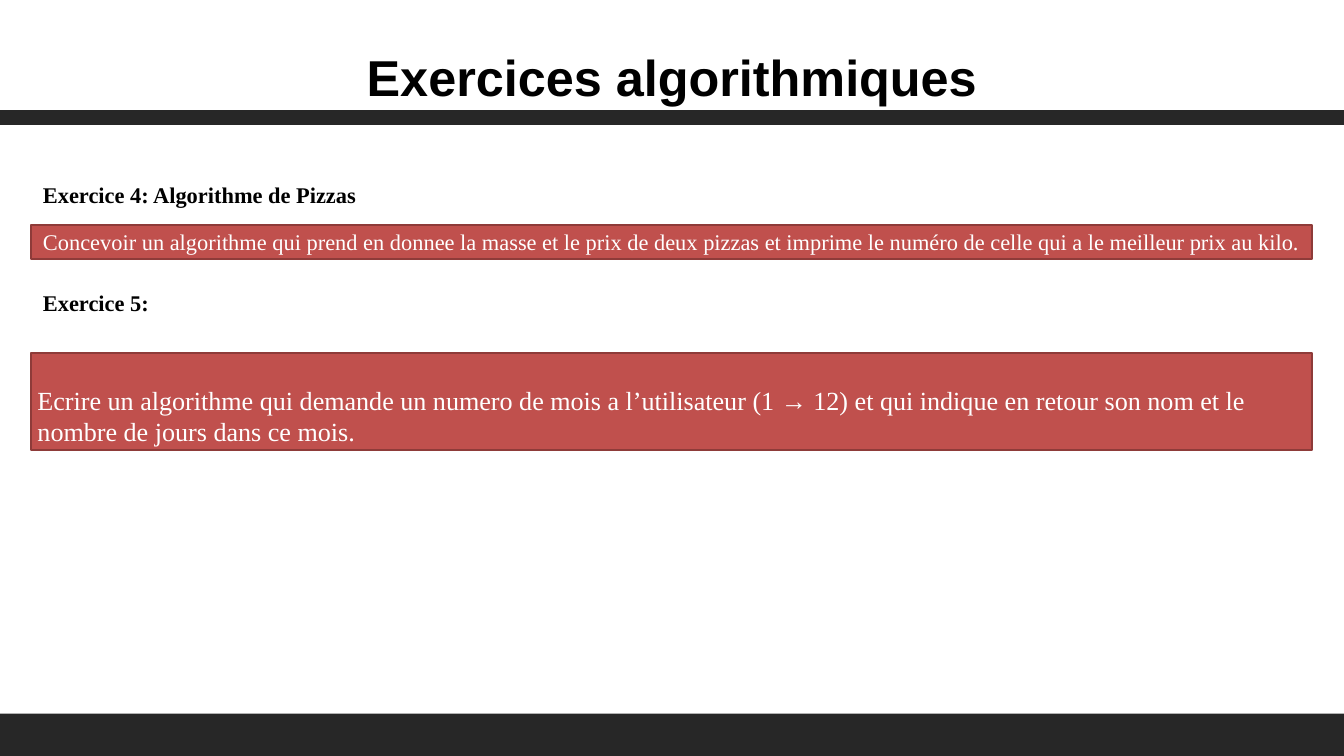
from pptx import Presentation
from pptx.dml.color import RGBColor
from pptx.enum.shapes import MSO_SHAPE
from pptx.enum.text import MSO_ANCHOR, PP_ALIGN
from pptx.util import Inches, Pt

COLORS = {"bar": "272727", "panel": "C0504D", "border": "8E3B39",
          "dark": "000000", "light": "FFFFFF"}
SERIF = "Times New Roman"
HEADING = {"name": SERIF, "size": Pt(24), "bold": True}
TITLE = {"name": "Arial", "size": Pt(54), "bold": True}
MARGIN, PANEL_WIDTH = 0.46, 19.07

EXERCISES = [
    {"heading": "Exercice 4: Algorithme de Pizzas", "top": 2.64,
     "offset": 0.71, "height": 0.5, "size": 24, "inset": 0.18,
     "statement": "Concevoir un algorithme qui prend en donnee la masse et le prix "
                  "de deux pizzas et imprime le numéro de celle qui a le meilleur "
                  "prix au kilo."},
    {"heading": "Exercice 5:", "top": 4.25,
     "offset": 1, "height": 1.45, "size": 28, "inset": 0.1,
     "statement": "Ecrire un algorithme qui demande un numero de mois a "
                  "l’utilisateur (1 → 12) et qui indique en retour son nom et le "
                  "nombre de jours dans ce mois."},
]


def apply_format(target, values):
    """Set each attribute named in values on target."""
    for attribute, value in values.items():
        setattr(target, attribute, value)


def write_text(shape, text, font, color, frame=None, paragraph=None):
    """Fill a shape with one formatted paragraph."""
    apply_format(shape.text_frame, {"word_wrap": True, **(frame or {})})
    line = shape.text_frame.paragraphs[0]
    apply_format(line, {"alignment": PP_ALIGN.LEFT, **(paragraph or {})})
    run = line.add_run()
    run.text = text
    apply_format(run.font, font)
    run.font.color.rgb = RGBColor.from_string(COLORS[color])


def add_rectangle(slide, box, fill, border=None):
    """Add a flat rectangle, outlined if a border colour is given."""
    rectangle = slide.shapes.add_shape(MSO_SHAPE.RECTANGLE, *map(Inches, box))
    rectangle.shadow.inherit = False
    rectangle.fill.solid()
    rectangle.fill.fore_color.rgb = RGBColor.from_string(COLORS[fill])
    if border:
        rectangle.line.color.rgb = RGBColor.from_string(COLORS[border])
        rectangle.line.width = Pt(2)
    else:
        rectangle.line.fill.background()
    return rectangle


def add_header(slide, left, top, width):
    """Add the centred title with the rule beneath it."""
    add_rectangle(slide, (left, top + 0.86, width, 0.22), "bar")
    title = slide.shapes.add_textbox(
        *map(Inches, (left + 1, top, width - 2, 0.82)))
    margins = {f"margin_{side}": 0 for side in ("left", "top", "right", "bottom")}
    write_text(title, "Exercices algorithmiques", TITLE, "dark",
               {"vertical_anchor": MSO_ANCHOR.MIDDLE, **margins},
               {"alignment": PP_ALIGN.CENTER, "line_spacing": 0.9})


def add_footer(slide, left, top, width):
    """Add the dark band at the foot of the slide."""
    add_rectangle(slide, (left, top, width, 0.65), "bar")


def add_exercise(slide, left, top, width, exercise):
    """Add an exercise heading and its statement panel."""
    heading = slide.shapes.add_textbox(
        *map(Inches, (left + 0.08, top, 10.01, 0.5)))
    write_text(heading, exercise["heading"], HEADING, "dark")
    panel = add_rectangle(
        slide, (left, top + exercise["offset"], width, exercise["height"]),
        "panel", "border")
    write_text(panel, exercise["statement"],
               {"name": SERIF, "size": Pt(exercise["size"])}, "light",
               {"vertical_anchor": MSO_ANCHOR.BOTTOM,
                "margin_left": Inches(exercise["inset"])})


def main():
    """Build the exercises slide and save it."""
    presentation = Presentation()
    apply_format(presentation, {"slide_width": Inches(20),
                                "slide_height": Inches(11.25)})
    slide = presentation.slides.add_slide(presentation.slide_layouts[6])
    add_header(slide, 0, 0.78, 20)
    add_footer(slide, 0, 10.62, 20)
    for exercise in EXERCISES:
        add_exercise(slide, MARGIN, exercise["top"], PANEL_WIDTH, exercise)
    presentation.save("out.pptx")


if __name__ == "__main__":
    main()
